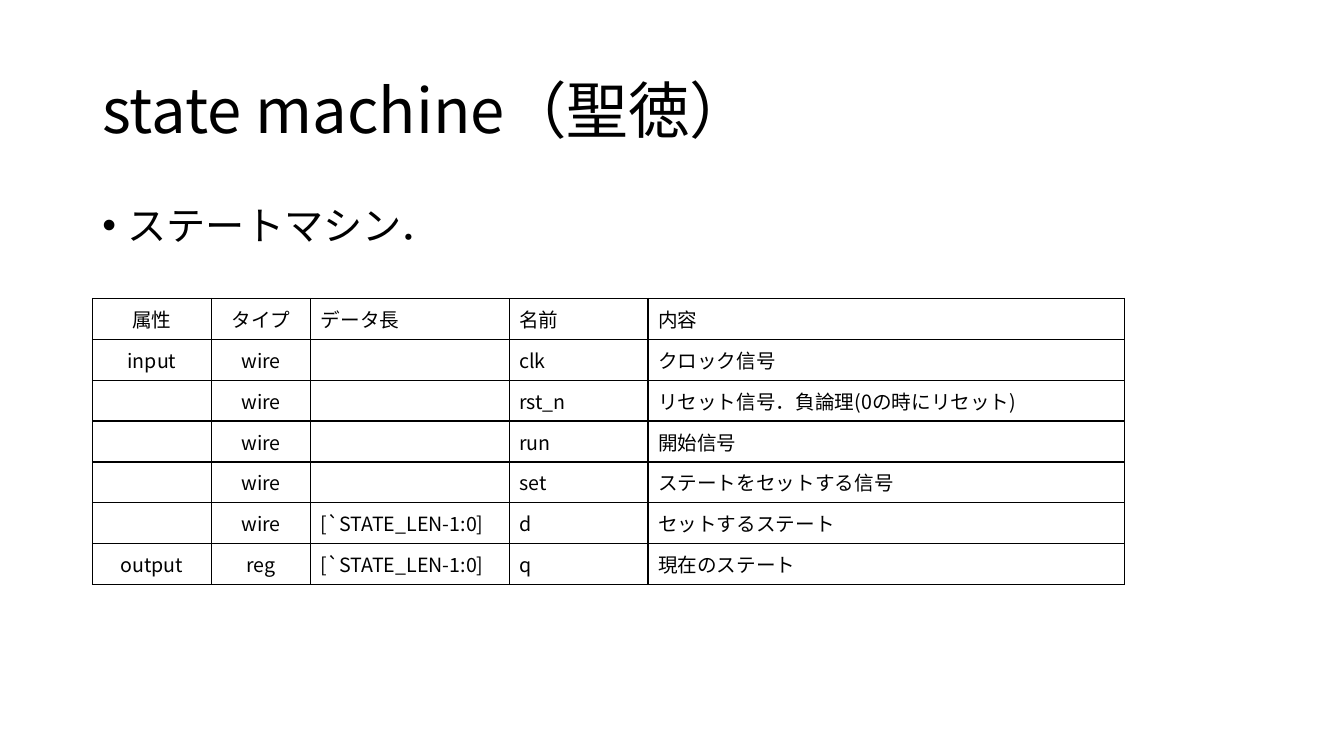
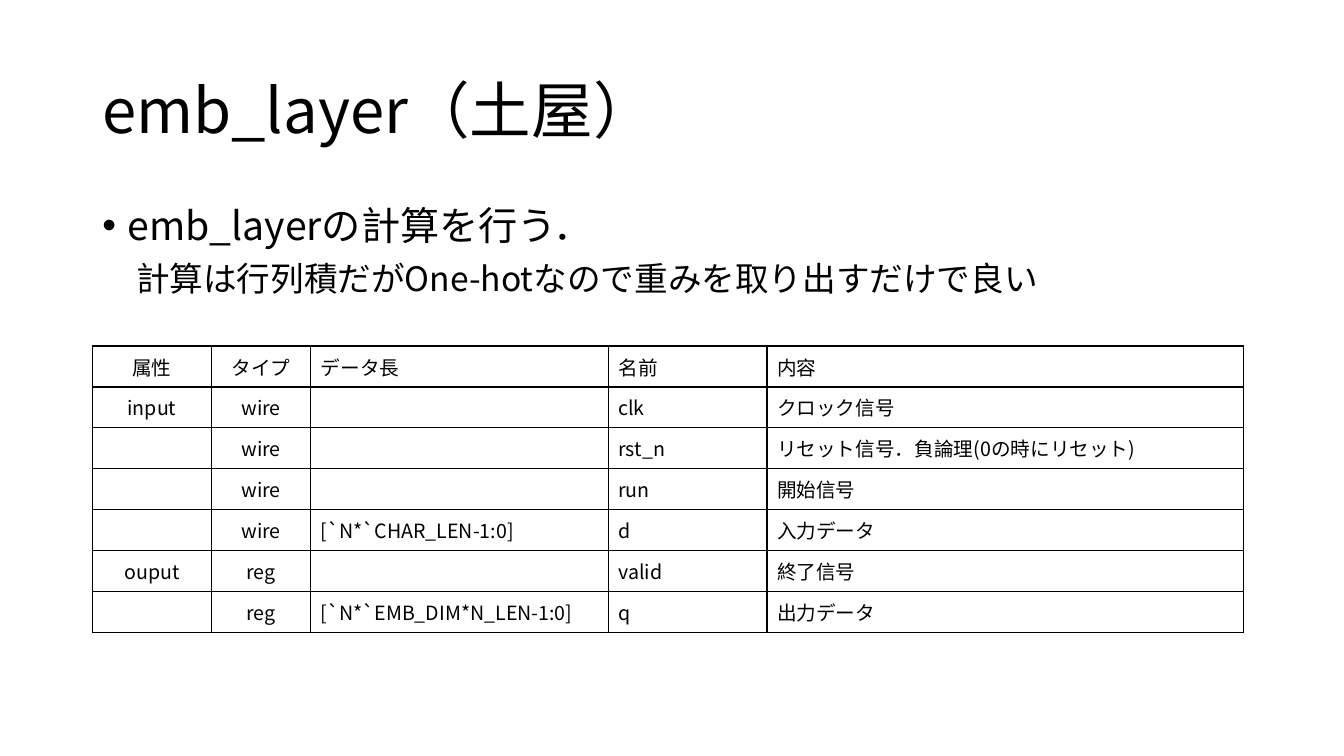
"""Build two slides describing the ports of hardware modules."""
from lxml.etree import SubElement
from pptx import Presentation
from pptx.dml.color import RGBColor
from pptx.enum.text import MSO_ANCHOR, PP_ALIGN
from pptx.oxml.ns import qn
from pptx.util import Cm, Pt

BLACK = RGBColor(0x00, 0x00, 0x00)
FONT = "Noto Sans CJK JP"
LEFT = Cm(2.33)
TEXT_WIDTH = Cm(29.21)
ROW_HEIGHT = Cm(1.03)
BULLET_INDENT = Cm(0.64)
PLAIN_INDENT = Cm(0.85)
CENTERED_COLUMNS = 2

HEADER = ("属性", "タイプ", "データ長", "名前", "内容")
CLOCK_AND_RESET = [
    ("input", "wire", "", "clk", "クロック信号"),
    ("", "wire", "", "rst_n", "リセット信号．負論理(0の時にリセット)"),
    ("", "wire", "", "run", "開始信号"),
]
MODULES = [
    {
        "title": "state machine（聖徳）",
        "summary": "ステートマシン．",
        "detail": None,
        "table_top": Cm(7.52),
        "widths": (Cm(3), Cm(2.5), Cm(5), Cm(3.5), Cm(12)),
        "ports": [
            ("", "wire", "", "set", "ステートをセットする信号"),
            ("", "wire", "[`STATE_LEN-1:0]", "d", "セットするステート"),
            ("output", "reg", "[`STATE_LEN-1:0]", "q", "現在のステート"),
        ],
    },
    {
        "title": "emb_layer（土屋）",
        "summary": "emb_layerの計算を行う．",
        "detail": "計算は行列積だがOne-hotなので重みを取り出すだけで良い",
        "table_top": Cm(8.72),
        "widths": (Cm(3), Cm(2.5), Cm(7.5), Cm(4), Cm(12)),
        "ports": [
            ("", "wire", "[`N*`CHAR_LEN-1:0]", "d", "入力データ"),
            ("ouput", "reg", "", "valid", "終了信号"),
            ("", "reg", "[`N*`EMB_DIM*N_LEN-1:0]", "q", "出力データ"),
        ],
    },
]


def write(paragraph, text, size):
    """Put text in a paragraph and give it the shared font."""
    paragraph.text = text
    for run in paragraph.runs:
        run.font.size = Pt(size)
        run.font.name = FONT
        run.font.bold = False
        run.font.color.rgb = BLACK
        SubElement(run._r.get_or_add_rPr(), qn("a:ea"), typeface=FONT)
    SubElement(paragraph._p, qn("a:endParaRPr"), sz=str(size * 100))


def add_borders(cell):
    """Draw a thin black line on each side of a table cell."""
    properties = cell._tc.get_or_add_tcPr()
    for side in ("a:lnL", "a:lnR", "a:lnT", "a:lnB"):
        line = SubElement(properties, qn(side), w=str(Pt(1)))
        fill = SubElement(line, qn("a:solidFill"))
        SubElement(fill, qn("a:srgbClr"), val=str(BLACK))


presentation = Presentation()
presentation.slide_width = Cm(33.87)
presentation.slide_height = Cm(19.05)

for module in MODULES:
    slide = presentation.slides.add_slide(presentation.slide_layouts[6])

    title = slide.shapes.add_textbox(LEFT, Cm(1.01), TEXT_WIDTH, Cm(3.68))
    title.text_frame.word_wrap = True
    title.text_frame.vertical_anchor = MSO_ANCHOR.MIDDLE
    paragraph = title.text_frame.paragraphs[0]
    paragraph.line_spacing = 0.9
    write(paragraph, module["title"], 44)

    body = slide.shapes.add_textbox(LEFT, Cm(5.07), TEXT_WIDTH, Cm(12.09))
    body.text_frame.word_wrap = True
    paragraph = body.text_frame.paragraphs[0]
    paragraph.line_spacing = 0.9
    paragraph.space_before = Pt(10)
    properties = paragraph._p.get_or_add_pPr()
    properties.set("marL", str(BULLET_INDENT))
    properties.set("indent", str(-BULLET_INDENT))
    SubElement(properties, qn("a:buFont"), typeface="Arial")
    SubElement(properties, qn("a:buChar"), char="•")
    write(paragraph, module["summary"], 28)
    if module["detail"]:
        paragraph = body.text_frame.add_paragraph()
        paragraph.line_spacing = 0.9
        paragraph.space_before = Pt(10)
        paragraph._p.get_or_add_pPr().set("marL", str(PLAIN_INDENT))
        write(paragraph, module["detail"], 24)

    rows = [HEADER, *CLOCK_AND_RESET, *module["ports"]]
    widths = module["widths"]
    table = slide.shapes.add_table(
        len(rows), len(widths), LEFT, module["table_top"],
        sum(widths), ROW_HEIGHT * len(rows),
    ).table
    table.first_row = False
    table.horz_banding = False
    for column, width in zip(table.columns, widths):
        column.width = width
    for row_index, row in enumerate(rows):
        table.rows[row_index].height = ROW_HEIGHT
        for column_index, text in enumerate(row):
            cell = table.cell(row_index, column_index)
            cell.vertical_anchor = MSO_ANCHOR.MIDDLE
            add_borders(cell)
            cell.fill.background()
            paragraph = cell.text_frame.paragraphs[0]
            if column_index < CENTERED_COLUMNS:
                paragraph.alignment = PP_ALIGN.CENTER
            write(paragraph, text, 14)

presentation.save("out.pptx")
